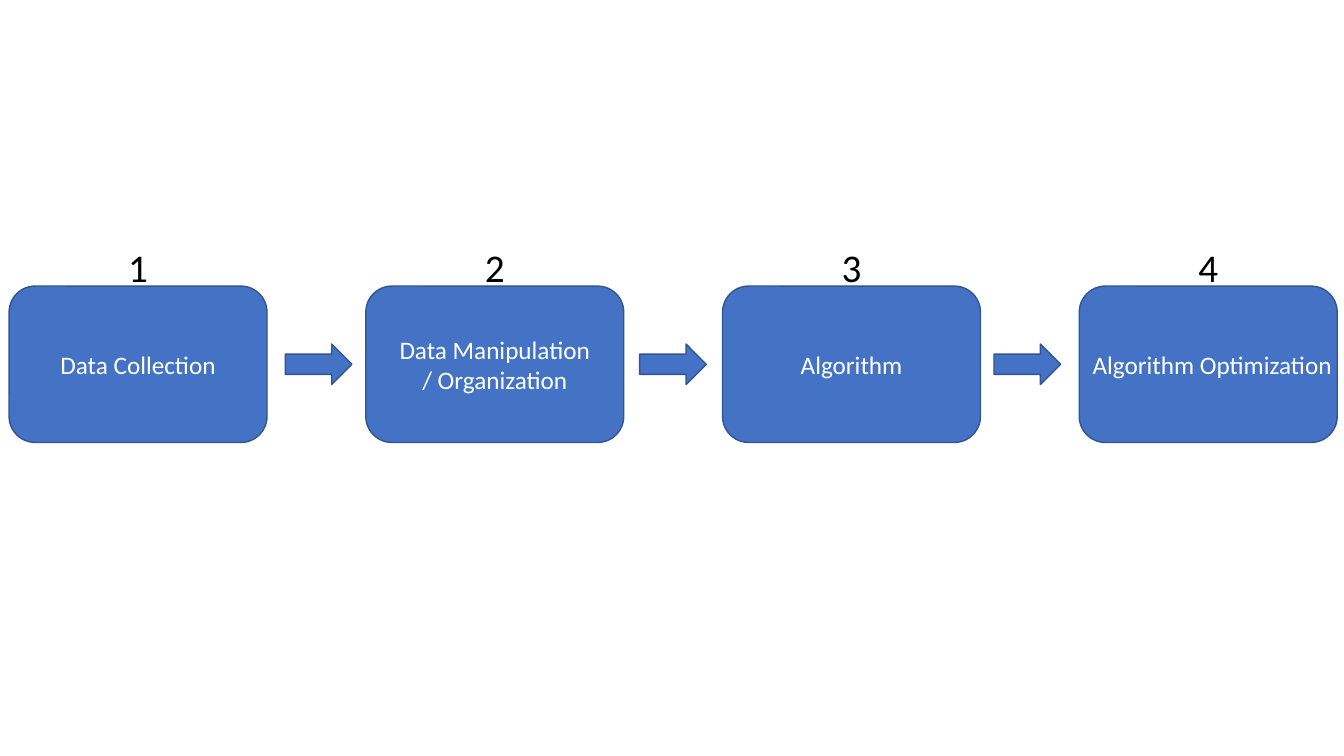
from dataclasses import dataclass

from pptx import Presentation
from pptx.dml.color import RGBColor
from pptx.enum.shapes import MSO_SHAPE
from pptx.enum.text import MSO_ANCHOR, MSO_AUTO_SIZE, PP_ALIGN
from pptx.util import Cm, Pt

BOX = MSO_SHAPE.ROUNDED_RECTANGLE
ARROW = MSO_SHAPE.RIGHT_ARROW
CENTER = PP_ALIGN.CENTER
MIDDLE = MSO_ANCHOR.MIDDLE
GROW = MSO_AUTO_SIZE.SHAPE_TO_FIT_TEXT

FONT = "Calibri"
BLUE, NAVY, WHITE, BLACK = "4472C4", "325491", "FFFFFF", "000000"

# Lengths in centimetres
BOX_LEFT, BOX_TOP, BOX_W, BOX_H, BOX_PITCH = 0.23, 7.21, 6.5, 3.94, 8.99
ARROW_LEFT, ARROW_W, ARROW_H, ARROW_PITCH = 7.19, 1.68, 1.02, 8.93
NUMBER_Y, NUMBER_W, NUMBER_H = 6.73, 1.02, 1.45
MIDDLE_Y = BOX_TOP + BOX_H / 2


@dataclass
class Step:
    label: str
    width: float
    height: float = 1.02
    shift: float = 0


STEPS = [
    Step("Data Collection", 4.47),
    Step("Data Manipulation\n/ Organization", 5.38, height=1.8),
    Step("Algorithm", 3.1),
    Step("Algorithm Optimization", 6.6, shift=0.1),
]


def color(value: str) -> RGBColor:
    return RGBColor.from_string(value)


def add_block(slide, kind: MSO_SHAPE, left: float, width: float, height: float) -> None:
    """Draw a blue shape centred on the row of steps."""
    sp = slide.shapes.add_shape(
        kind, Cm(left), Cm(MIDDLE_Y - height / 2), Cm(width), Cm(height))
    sp.shadow.inherit = False
    sp.fill.solid()
    sp.fill.fore_color.rgb = color(BLUE)
    sp.line.color.rgb = color(NAVY)
    sp.line.width = Pt(1)


def add_text(slide, text: str, x: float, y: float, width: float, height: float,
             size: int, ink: str) -> None:
    """Write text centred on the point x, y."""
    sp = slide.shapes.add_textbox(
        Cm(x - width / 2), Cm(y - height / 2), Cm(width), Cm(height))
    tf = sp.text_frame
    tf.text = text
    tf.word_wrap = False
    tf.auto_size = GROW
    tf.vertical_anchor = MIDDLE
    for p in tf.paragraphs:
        p.alignment = CENTER
        for r in p.runs:
            r.font.name = FONT
            r.font.size = Pt(size)
            r.font.color.rgb = color(ink)


def main() -> None:
    prs = Presentation()
    prs.slide_width, prs.slide_height = Cm(33.87), Cm(19.05)
    slide = prs.slides.add_slide(prs.slide_layouts[6])

    for i, step in enumerate(STEPS):
        left = BOX_LEFT + i * BOX_PITCH
        center = left + BOX_W / 2
        add_block(slide, BOX, left, BOX_W, BOX_H)
        add_text(slide, step.label, center + step.shift, MIDDLE_Y,
                 step.width, step.height, 18, WHITE)
        add_text(slide, str(i + 1), center, NUMBER_Y, NUMBER_W, NUMBER_H, 28, BLACK)

    for i in range(len(STEPS) - 1):
        add_block(slide, ARROW, ARROW_LEFT + i * ARROW_PITCH, ARROW_W, ARROW_H)

    prs.save("out.pptx")


if __name__ == "__main__":
    main()
